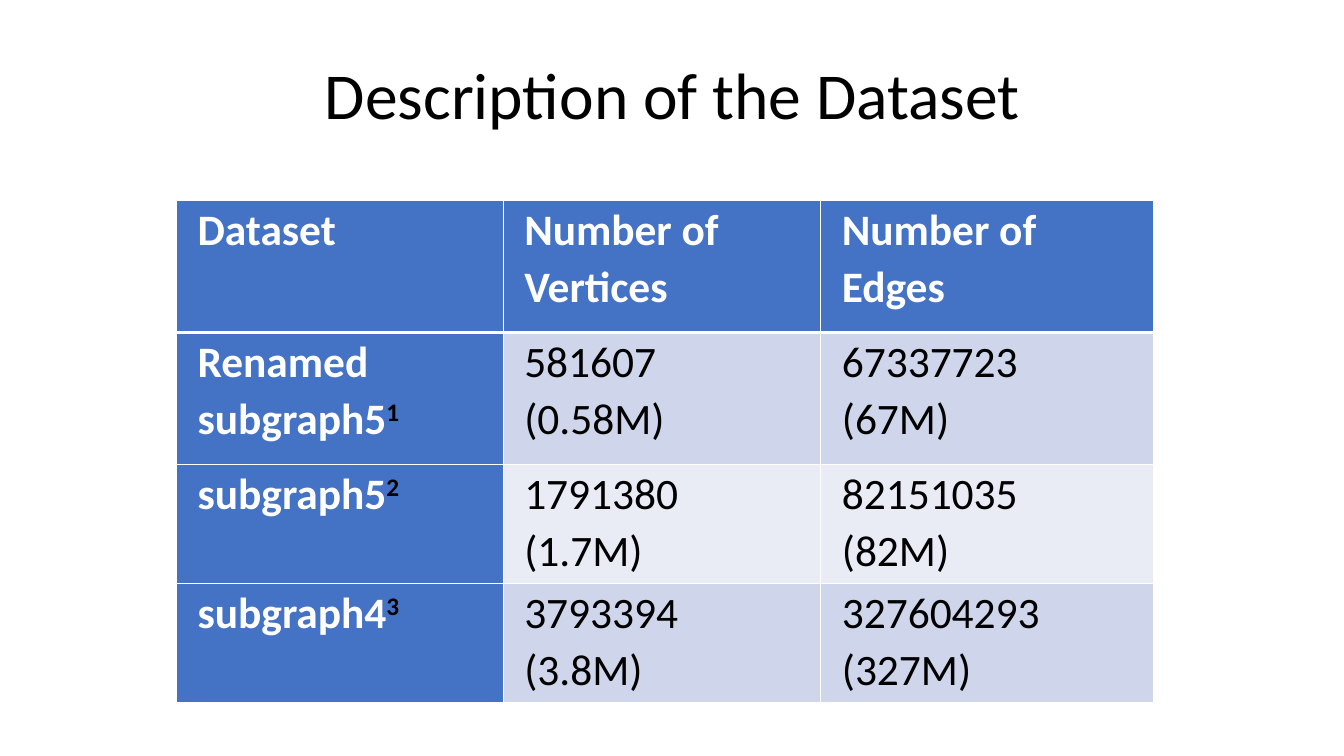
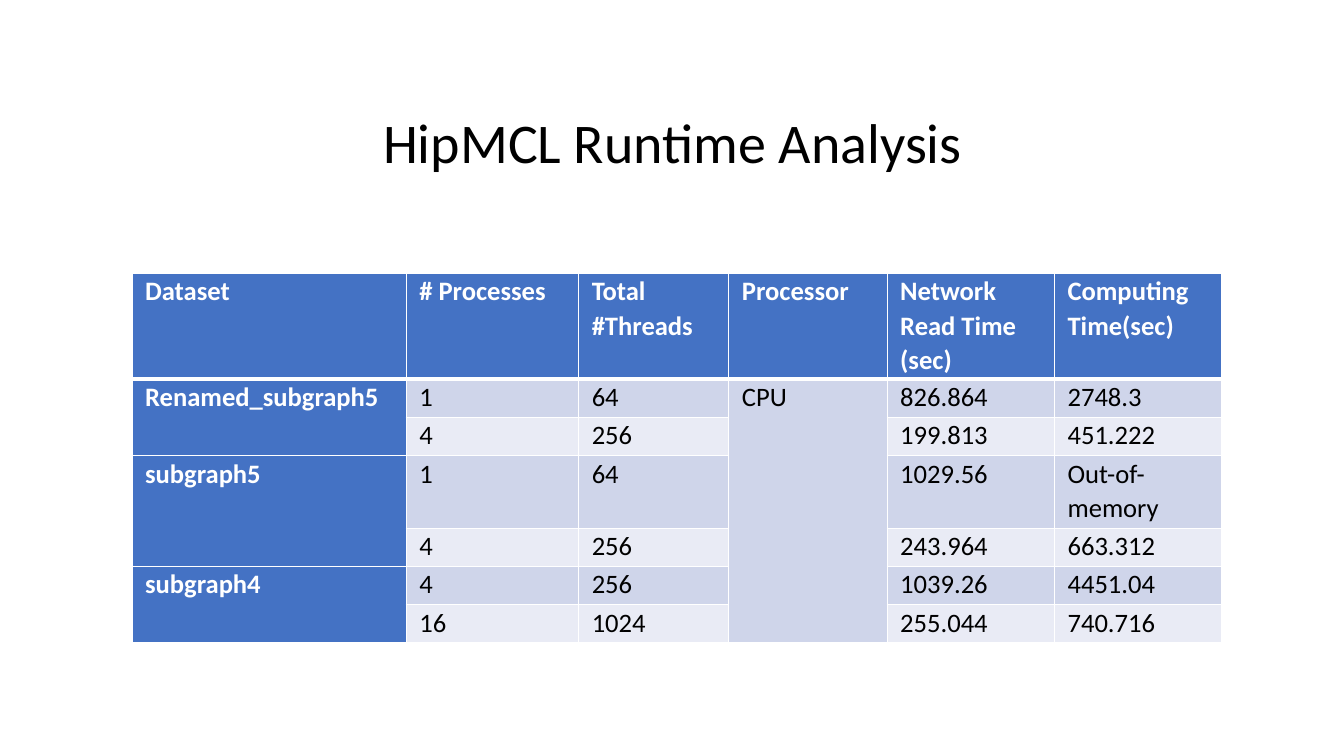
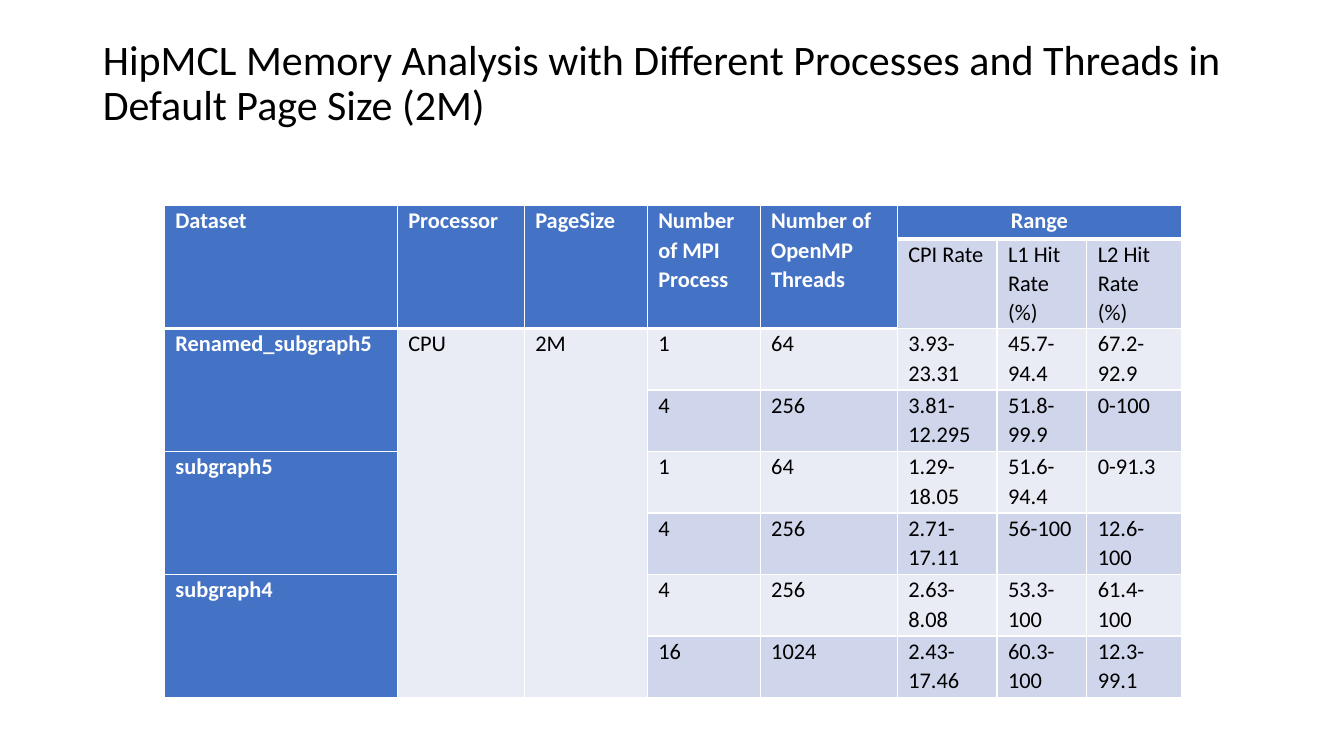
from pptx import Presentation
from pptx.dml.color import RGBColor
from pptx.enum.text import MSO_ANCHOR, MSO_AUTO_SIZE, PP_ALIGN
from pptx.oxml.ns import qn
from pptx.util import Inches, Pt
from lxml import etree

BOTTOM = MSO_ANCHOR.BOTTOM
FIXED = MSO_AUTO_SIZE.NONE
LEFT, CENTER = PP_ALIGN.LEFT, PP_ALIGN.CENTER
BLUE = RGBColor(0x44, 0x72, 0xC4)
BANDS = [RGBColor(0xE9, 0xEB, 0xF5), RGBColor(0xCF, 0xD5, 0xEA)]
WHITE = RGBColor(0xFF, 0xFF, 0xFF)
BLACK = RGBColor(0, 0, 0)
FONT = "Calibri"
UP, BACK = "|", "<"


def style(run, size, color, bold=False):
    run.font.name = FONT
    run.font.size = Pt(size)
    run.font.color.rgb = color
    run.font.bold = bold


def border(cell, widths):
    props = cell._tc.get_or_add_tcPr()
    for spot, (side, width) in enumerate(widths.items()):
        line = etree.Element(qn("a:" + side), w=str(Pt(width)))
        fill = etree.SubElement(line, qn("a:solidFill"))
        etree.SubElement(fill, qn("a:srgbClr"), val=str(WHITE))
        props.insert(spot, line)


SLIDES = [
    {
        "title": "Description of the Dataset",
        "box": (0.61, 0.77), "size": 46.8, "align": CENTER,
        "place": (1.75, 1.99), "text": 31, "inset": 0.21,
        "cols": [3.24, 3.15, 3.3],
        "rows": [1.31, 1.31, 1.18, 1.18],
        "cells": [
            ["Dataset", "Number of Vertices", "Number of Edges"],
            ["Renamed subgraph5^1", "581607 (0.58M)", "67337723 (67M)"],
            ["subgraph5^2", "1791380 (1.7M)", "82151035 (82M)"],
            ["subgraph4^3", "3793394 (3.8M)", "327604293 (327M)"],
        ],
    },
    {
        "title": "HipMCL Runtime Analysis",
        "box": (0.61, 1.18), "size": 40, "align": CENTER,
        "place": (1.31, 2.71), "text": 19, "inset": 0.13,
        "cols": [2.72, 1.71, 1.49, 1.57, 1.66, 1.66],
        "rows": [1.05, 0.38, 0.38, 0.72, 0.38, 0.38, 0.38],
        "cells": [
            ["Dataset", "# Processes", "Total #Threads", "Processor",
             "Network Read Time (sec)", "Computing Time(sec)"],
            ["Renamed_subgraph5", "1", "64", "CPU", "826.864", "2748.3"],
            [UP, "4", "256", UP, "199.813", "451.222"],
            ["subgraph5", "1", "64", UP, "1029.56", "Out-of-memory"],
            [UP, "4", "256", UP, "243.964", "663.312"],
            ["subgraph4", "4", "256", UP, "1039.26", "4451.04"],
            [UP, "16", "1024", UP, "255.044", "740.716"],
        ],
    },
    {
        "title": "HipMCL Memory Analysis with Different Processes and Threads "
                 "in Default Page Size (2M)",
        "box": (0.32, 1.02), "size": 30, "align": LEFT,
        "place": (1.63, 2.04), "text": 16, "inset": 0.11,
        "cols": [2.31, 1.26, 1.22, 1.12, 1.36, 0.99, 0.89, 0.94],
        "rows": [0.33, 0.89] + [0.61] * 6,
        "cells": [
            ["Dataset", "Processor", "PageSize", "Number of MPI Process",
             "Number of OpenMP Threads", "Range", BACK, BACK],
            [UP, UP, UP, UP, UP, "CPI Rate", "L1 Hit Rate (%)", "L2 Hit Rate (%)"],
            ["Renamed_subgraph5", "CPU", "2M", "1", "64",
             "3.93-23.31", "45.7-94.4", "67.2-92.9"],
            [UP, UP, UP, "4", "256", "3.81-12.295", "51.8-99.9", "0-100"],
            ["subgraph5", UP, UP, "1", "64", "1.29-18.05", "51.6-94.4", "0-91.3"],
            [UP, UP, UP, "4", "256", "2.71-17.11", "56-100", "12.6-100"],
            ["subgraph4", UP, UP, "4", "256", "2.63-8.08", "53.3-100", "61.4-100"],
            [UP, UP, UP, "16", "1024", "2.43-17.46", "60.3-100", "12.3-99.1"],
        ],
    },
]

deck = Presentation()
deck.slide_width, deck.slide_height = Inches(13.33), Inches(7.5)

for page in SLIDES:
    slide = deck.slides.add_slide(deck.slide_layouts[5])
    title = slide.shapes.title
    top, height = page["box"]
    title.left, title.top = Inches(0.92), Inches(top)
    title.width, title.height = Inches(11.5), Inches(height)
    frame = title.text_frame
    frame.text = page["title"]
    frame.auto_size = FIXED
    frame.word_wrap = True
    frame.vertical_anchor = BOTTOM
    para = frame.paragraphs[0]
    para.alignment = page["align"]
    para.line_spacing = 0.9
    style(para.runs[0], page["size"], BLACK)

    cols, rows = page["cols"], page["rows"]
    left, top = page["place"]
    table = slide.shapes.add_table(
        len(rows), len(cols), Inches(left), Inches(top),
        Inches(sum(cols)), Inches(sum(rows))).table
    for col, width in zip(table.columns, cols):
        col.width = Inches(width)
    for row, height in zip(table.rows, rows):
        row.height = Inches(height)

    roots, ends = {}, {}
    for r, line in enumerate(page["cells"]):
        for c, text in enumerate(line):
            if text == UP:
                root = roots[r - 1, c]
            elif text == BACK:
                root = roots[r, c - 1]
            else:
                root = (r, c)
            roots[r, c] = root
            ends[root] = (r, c)
            head = root[0] == 0
            strong = head or c == 0
            cell = table.cell(r, c)
            cell.margin_left = cell.margin_right = Inches(page["inset"])
            cell.margin_top = cell.margin_bottom = 0
            cell.fill.solid()
            cell.fill.fore_color.rgb = BLUE if strong else BANDS[root[0] % 2]
            sides = {"lnL": 1, "lnR": 1}
            if r == 0:
                sides["lnT"] = 1
            sides["lnB"] = 3 if head else 1
            border(cell, sides)
            if root != (r, c):
                continue
            word, _, note = text.partition("^")
            para = cell.text_frame.paragraphs[0]
            para.text = word
            para.line_spacing = 1.07
            para.alignment = CENTER if word == "Range" else LEFT
            style(para.runs[0], page["text"], WHITE if strong else BLACK, strong)
            if note:
                mark = para.add_run()
                mark.text = note
                style(mark, page["text"], BLACK, True)
                mark.font._element.set("baseline", "30000")
    for root, end in ends.items():
        if root != end:
            table.cell(*root).merge(table.cell(*end))

deck.save("out.pptx")
